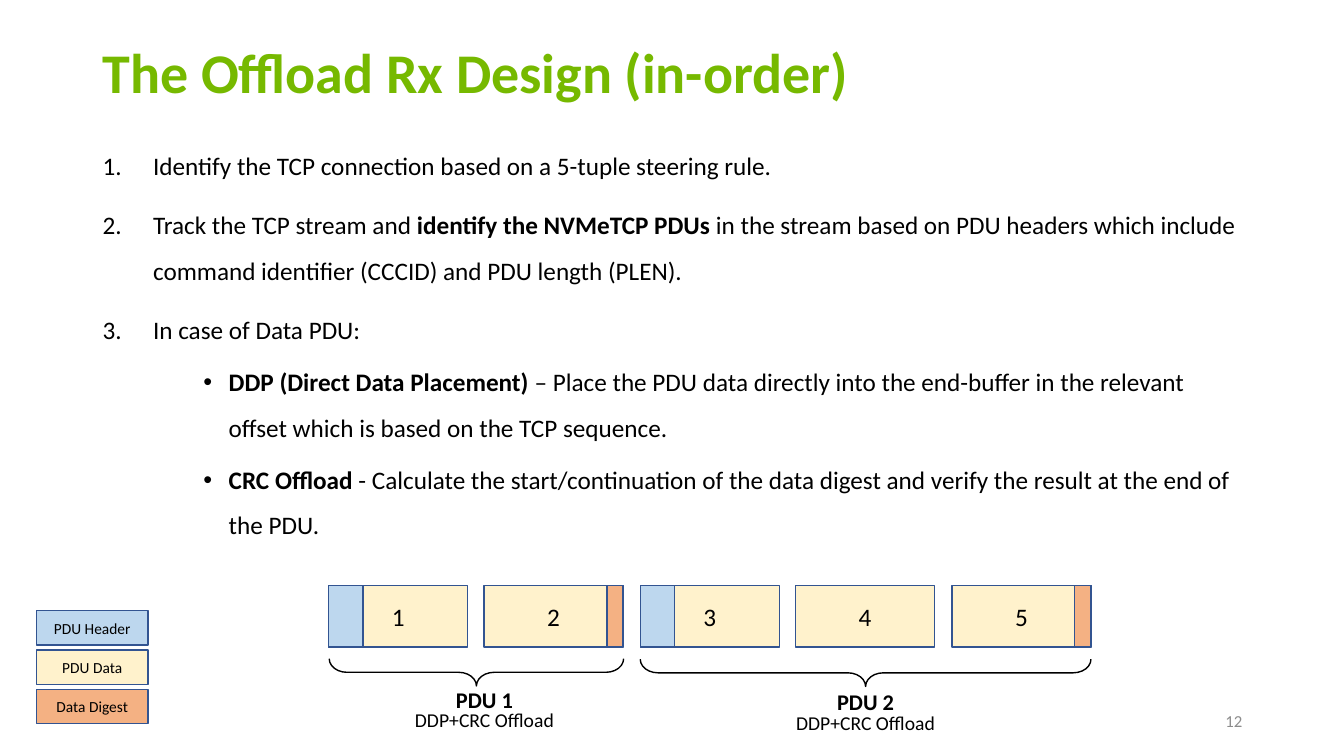
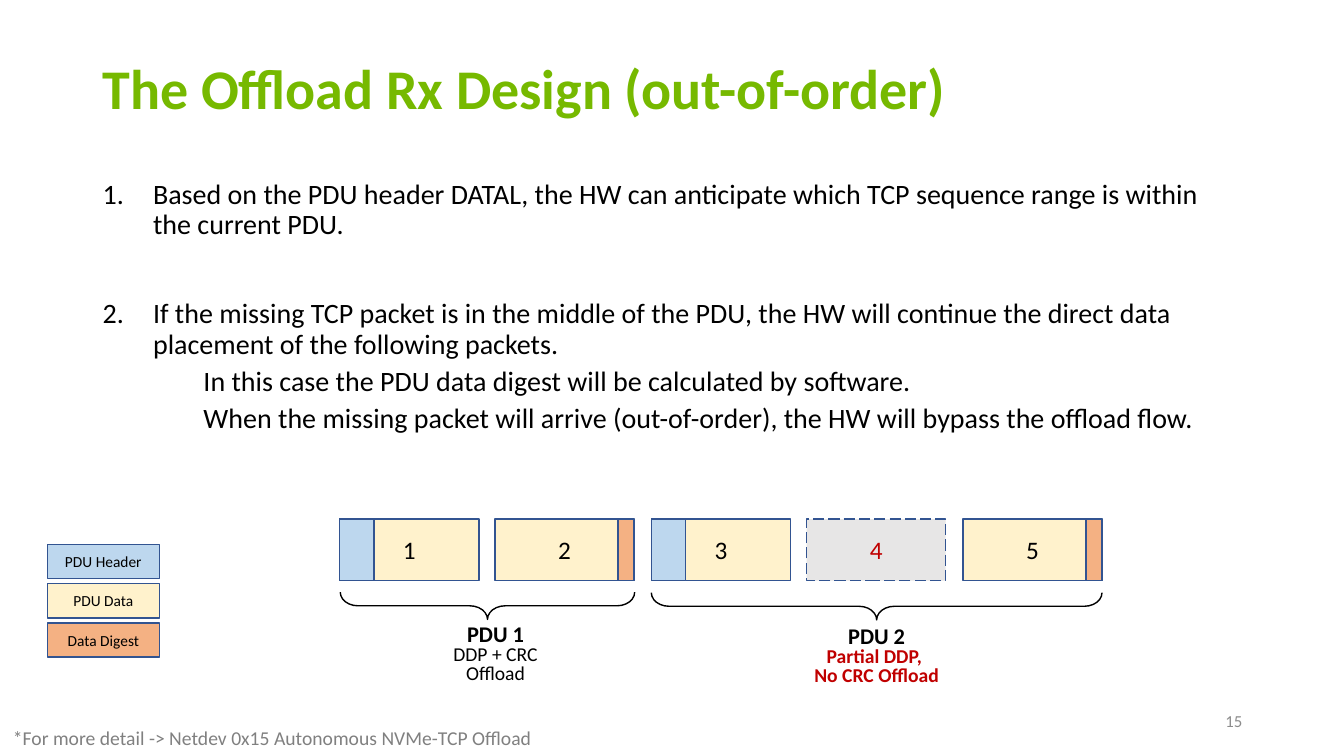
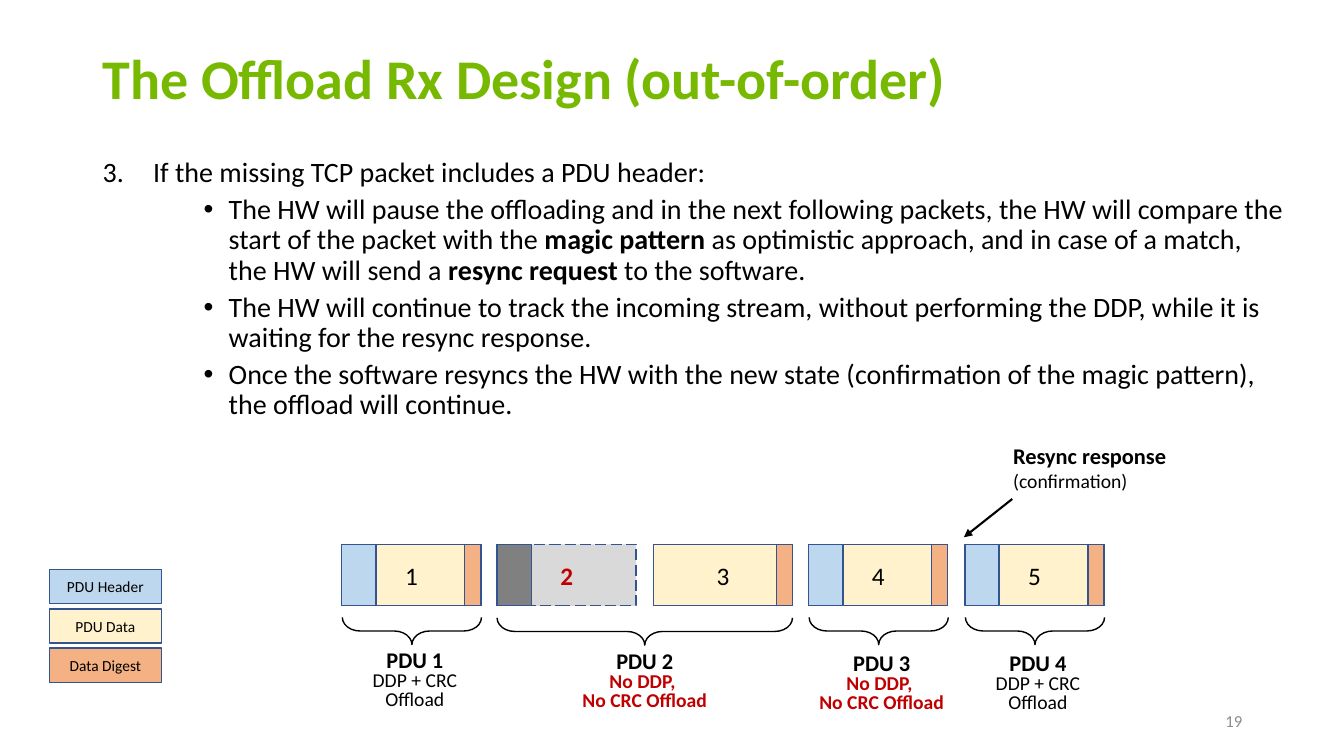
from lxml import etree
from pptx import Presentation
from pptx.dml.color import RGBColor
from pptx.enum.dml import MSO_LINE
from pptx.enum.shapes import MSO_CONNECTOR, MSO_SHAPE
from pptx.enum.text import MSO_ANCHOR, PP_ALIGN
from pptx.oxml.ns import qn
from pptx.util import Pt

PX = 9144  # EMU per px, 100 px to the inch

RECT, BRACE = MSO_SHAPE.RECTANGLE, MSO_SHAPE.RIGHT_BRACE
STRAIGHT, LONG_DASH = MSO_CONNECTOR.STRAIGHT, MSO_LINE.LONG_DASH
LEFT, CENTER, RIGHT = PP_ALIGN.LEFT, PP_ALIGN.CENTER, PP_ALIGN.RIGHT
TOP, MIDDLE = MSO_ANCHOR.TOP, MSO_ANCHOR.MIDDLE

FONT = "Calibri"
GREEN, BLACK, RED = "76B900", "000000", "C00000"
NUMBER_GREY, NOTE_GREY, LOST_HEADER = "8C8C8C", "808080", "808080"
HEADER, DATA, DIGEST, OUTLINE = "BDD7EE", "FFF2CC", "F4B183", "325491"

PACKET_W, PACKET_H = 138, 61
HEADER_W, DIGEST_W = 34, 16
LEGEND = (("PDU Header", HEADER), ("PDU Data", DATA), ("Data Digest", DIGEST))


def rgb(color):
    return RGBColor.from_string(color)


def emu(*lengths):
    return [length * PX for length in lengths]


class Deck:
    """Holds the style and the slide being built."""

    def __init__(self):
        self.prs = Presentation()
        self.prs.slide_width, self.prs.slide_height = emu(1333, 750)

    def new_slide(self, title, title_height, number):
        self.slide = self.prs.slides.add_slide(self.prs.slide_layouts[6])
        self.text((92, 40, 1150, title_height), [[(title, 40, GREEN, True)]],
                  anchor=MIDDLE, spacing=0.9)
        self.text((942, 695, 300, 40), [[(number, 12, NUMBER_GREY, False)]],
                  align=RIGHT, anchor=MIDDLE)

    def paragraph(self, frame, index, runs, align=LEFT, spacing=1.0, before=0):
        """Write runs of (text, size, color, bold) into one paragraph."""
        para = frame.paragraphs[0] if index == 0 else frame.add_paragraph()
        para.alignment, para.line_spacing = align, spacing
        para.space_before = Pt(before)
        for words, size, color, bold in runs:
            run = para.add_run()
            run.text = words
            run.font.name, run.font.size, run.font.bold = FONT, Pt(size), bold
            run.font.color.rgb = rgb(color)
        return para

    def frame(self, box, anchor=TOP, wrap=True):
        frame = self.slide.shapes.add_textbox(*emu(*box)).text_frame
        frame.word_wrap, frame.vertical_anchor = wrap, anchor
        return frame

    def text(self, box, lines, align=LEFT, anchor=TOP, spacing=1.0, wrap=True):
        frame = self.frame(box, anchor, wrap)
        for index, runs in enumerate(lines):
            self.paragraph(frame, index, runs, align, spacing)

    def body(self, box, items, size, spacing, start=1):
        """Write items of (kind, space before, runs of (text, bold))."""
        frame = self.frame(box)
        for index, (kind, before, parts) in enumerate(items):
            runs = [(words, size, BLACK, bold) for words, bold in parts]
            para = self.paragraph(frame, index, runs, LEFT, spacing, before)
            para.level = 0 if kind == "number" else 2
            margin, hang = {"number": (50, 50), "bullet": (125, 25),
                            "plain": (100, 0)}[kind]
            props = para._p.get_or_add_pPr()
            props.set("marL", str(margin * PX))
            props.set("indent", str(-hang * PX))
            if kind == "number":
                mark = etree.SubElement(props, qn("a:buAutoNum"), type="arabicPeriod")
                if start > 1:
                    mark.set("startAt", str(start))
            elif kind == "bullet":
                etree.SubElement(props, qn("a:buFont"), typeface="Arial")
                etree.SubElement(props, qn("a:buChar"), char="•")
            else:
                etree.SubElement(props, qn("a:buNone"))

    def rect(self, box, fill, runs=(), dashed=False):
        block = self.slide.shapes.add_shape(RECT, *emu(*box))
        block.shadow.inherit = False
        block.fill.solid()
        block.fill.fore_color.rgb = rgb(fill)
        block.line.color.rgb = rgb(OUTLINE)
        block.line.width = Pt(1)
        if dashed:
            block.line.dash_style = LONG_DASH
        if runs:
            block.text_frame.vertical_anchor = MIDDLE
            self.paragraph(block.text_frame, 0, runs, CENTER)

    def packets(self, left, top, row, lost=None):
        """Draw the legend and numbered packets: h header, d digest, x lost."""
        self.left, self.top = left, top
        for index, (name, fill) in enumerate(LEGEND):
            self.rect((left - 290, top + 25 + 39 * index, 111, 34), fill,
                      [(name, 11, BLACK, False)])
        for index, parts in enumerate(row):
            x, is_lost = self.packet_x(index), "x" in parts
            fill, color, bold = (lost, RED, "h" in parts) if is_lost else (DATA, BLACK, False)
            self.rect((x, top, PACKET_W, PACKET_H), fill,
                      [(str(index + 1), 18, color, bold)], is_lost)
            if "h" in parts:
                self.rect((x, top, HEADER_W, PACKET_H), LOST_HEADER if is_lost else HEADER)
            if "d" in parts:
                self.rect((x + PACKET_W - DIGEST_W, top, DIGEST_W, PACKET_H), DIGEST)

    def packet_x(self, index):
        return self.left + index * 309 // 2

    def pdu(self, number, first, last, status, bad=False, shift=0, drop=102, wrap=False):
        """Brace the packets first to last and label them below."""
        start, end = self.packet_x(first - 1), self.packet_x(last - 1) + PACKET_W
        middle, span, depth = (start + end) // 2, end - start, 27
        brace_mid = self.top + 86
        brace = self.slide.shapes.add_shape(
            BRACE, *emu(middle - depth // 2, brace_mid - span // 2, depth, span))
        brace.rotation = 90
        brace.adjustments[0] = 0.65
        brace.shadow.inherit = False
        brace.fill.background()
        brace.line.color.rgb = rgb(BLACK)
        brace.line.width = Pt(1)
        lines = [[(f"PDU {number}", 16, BLACK, True)]]
        lines += [[(line, 14, RED if bad else BLACK, bad)] for line in status]
        self.text((middle - 81 + shift, self.top + drop, 163, 51), lines,
                  CENTER, spacing=0.8, wrap=wrap)

    def arrow(self, x1, y1, x2, y2):
        line = self.slide.shapes.add_connector(STRAIGHT, *emu(x1, y1, x2, y2))
        line.line.color.rgb = rgb(BLACK)
        line.line.width = Pt(1.5)
        etree.SubElement(line.line._get_or_add_ln(), qn("a:tailEnd"), type="triangle")
        etree.SubElement(line._element.spPr, qn("a:effectLst"))


def in_order(deck):
    deck.new_slide("The Offload Rx Design (in-order)", 70, "12")
    deck.body((92, 129, 1150, 418), [
        ("number", 10, [("Identify the TCP connection based on a 5-tuple steering rule.", False)]),
        ("number", 10, [("Track the TCP stream and ", False),
                        ("identify the NVMeTCP PDUs ", True),
                        ("in the stream based on PDU headers which include command "
                         "identifier (CCCID) and PDU length (PLEN).", False)]),
        ("number", 10, [("In case of Data PDU:", False)]),
        ("bullet", 5, [("DDP (Direct Data Placement) ", True),
                       ("– Place the PDU data directly into the end-buffer in the relevant "
                        "offset which is based on the TCP sequence.", False)]),
        ("bullet", 5, [("CRC Offload ", True),
                       ("- Calculate the start/continuation of the data digest and verify "
                        "the result at the end of the PDU.", False)]),
    ], size=18, spacing=1.5)
    deck.packets(326, 581, ("h", "d", "h", "", "d"))
    deck.pdu(1, 1, 2, ["DDP+CRC Offload"], shift=8, drop=100)
    deck.pdu(2, 3, 5, ["DDP+CRC Offload"])


def lost_data(deck):
    deck.new_slide("The Offload Rx Design (out-of-order)", 102, "15")
    deck.body((92, 174, 1150, 300), [
        ("number", 10, [("Based on the PDU header DATAL, the HW can anticipate which TCP "
                         "sequence range is within the current PDU.", False)]),
        ("number", 42, [("If the missing TCP packet is in the middle of the PDU, the HW will "
                         "continue the direct data placement of the following packets.", False)]),
        ("plain", 5, [("In this case the PDU data digest will be calculated by software.", False)]),
        ("plain", 5, [("When the missing packet will arrive (out-of-order), the HW will "
                       "bypass the offload flow.", False)]),
    ], size=20, spacing=0.9)
    deck.packets(337, 515, ("h", "d", "h", "x", "d"), lost="E7E6E6")
    deck.pdu(1, 1, 2, ["DDP + CRC Offload"], shift=8, drop=100)
    deck.pdu(2, 3, 5, ["Partial DDP, ", "No CRC Offload"], bad=True)
    deck.text((3, 715, 710, 34), [[
        ("*For more detail -> Netdev 0x15 Autonomous NVMe-TCP Offload", 14, NOTE_GREY, False)]])


def lost_header(deck):
    deck.new_slide("The Offload Rx Design (out-of-order)", 82, "19")
    deck.body((92, 152, 1192, 280), [
        ("number", 10, [("If the missing TCP packet includes a PDU header:", False)]),
        ("bullet", 5, [("The HW will pause the offloading and in the next following packets, "
                        "the HW will compare the start of the packet with the ", False),
                       ("magic pattern ", True),
                       ("as optimistic approach, and in case of a match, "
                        "the HW will send a ", False),
                       ("resync request ", True),
                       ("to the software.", False)]),
        ("bullet", 5, [("The HW will continue to track the incoming stream, without performing "
                        "the DDP, while it is waiting for the resync response.", False)]),
        ("bullet", 5, [("Once the software resyncs the HW with the new state (confirmation of "
                        "the magic pattern), the offload will continue.", False)]),
    ], size=20, spacing=0.9, start=3)
    deck.packets(339, 540, ("hd", "hx", "d", "hd", "hd"), lost="D9D9D9")
    no_offload = ["No DDP, ", "No CRC Offload"]
    deck.pdu(1, 1, 1, ["DDP + CRC Offload"], shift=3, drop=101)
    deck.pdu(2, 2, 3, no_offload, bad=True)
    deck.pdu(3, 4, 4, no_offload, bad=True, shift=3, drop=104, wrap=True)
    deck.pdu(4, 5, 5, ["DDP + CRC Offload"], shift=3, drop=104, wrap=True)
    # Resync response pointing at packet 5
    deck.text((995, 434, 277, 61), [[("Resync response", 16, BLACK, True)],
                                    [("(confirmation)", 14, BLACK, False)]])
    deck.arrow(1004, 495, 956, 533)


def main():
    deck = Deck()
    in_order(deck)
    lost_data(deck)
    lost_header(deck)
    deck.prs.save("out.pptx")


if __name__ == "__main__":
    main()
